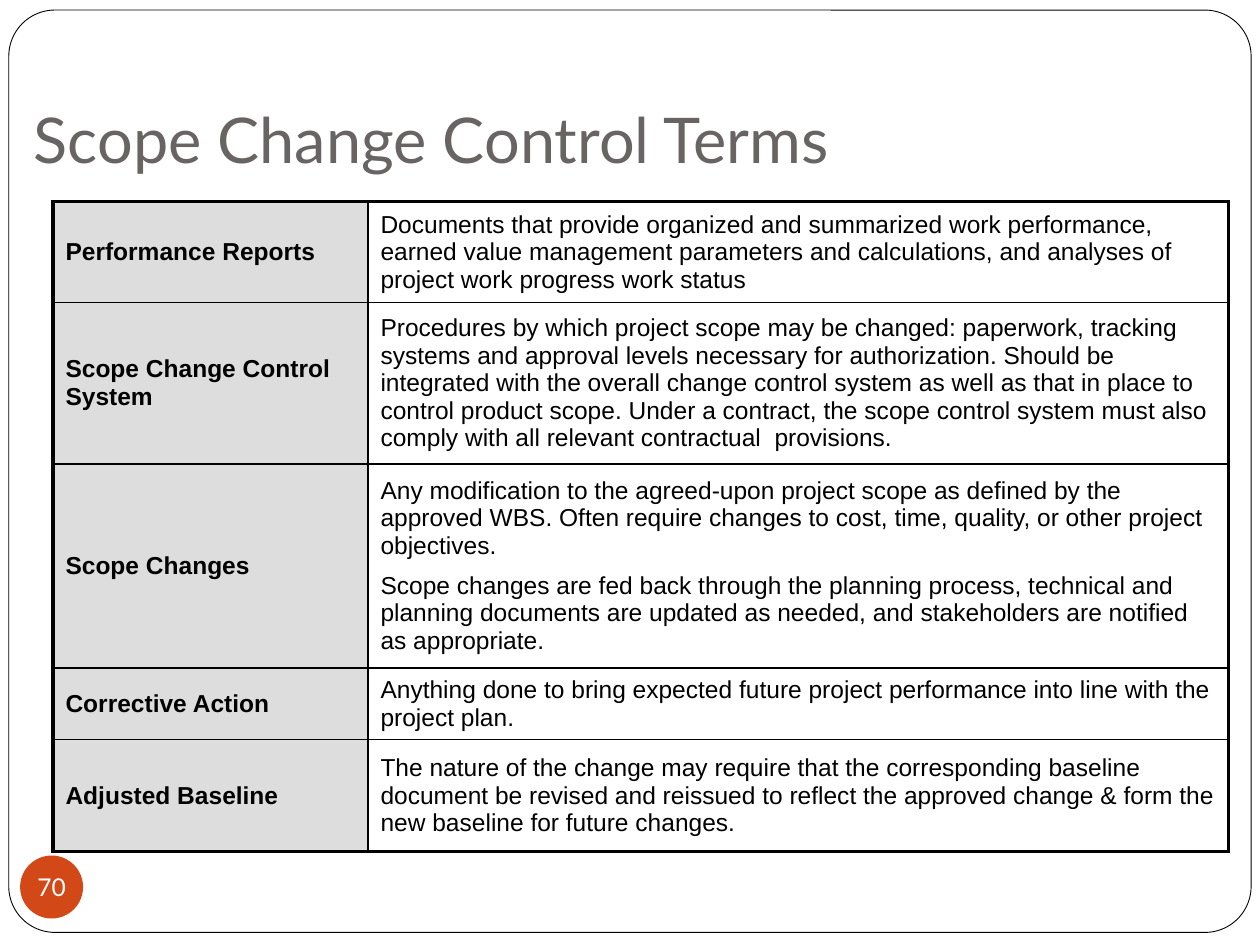
from lxml import etree
from pptx import Presentation
from pptx.dml.color import RGBColor
from pptx.enum.shapes import MSO_SHAPE as Preset
from pptx.enum.text import MSO_ANCHOR as Anchor, PP_ALIGN as Align
from pptx.oxml.ns import qn
from pptx.util import Inches, Pt

BLACK = RGBColor(0x00, 0x00, 0x00)
WHITE = RGBColor(0xFF, 0xFF, 0xFF)
TITLE_GRAY = RGBColor(0x69, 0x64, 0x64)
TERM_GRAY = RGBColor(0xDD, 0xDD, 0xDD)
ORANGE = RGBColor(0xD3, 0x48, 0x17)

THIN, THICK = 1, 2.25

# Each term has a row height and one or more paragraphs of definition
TERMS = [
    ("Performance Reports", 0.8, [
        "Documents that provide organized and summarized work performance, "
        "earned value management parameters and calculations, and analyses of "
        "project work progress work status"]),
    ("Scope Change Control System", 1.28, [
        "Procedures by which project scope may be changed: paperwork, tracking "
        "systems and approval levels necessary for authorization. Should be "
        "integrated with the overall change control system as well as that in "
        "place to control product scope. Under a contract, the scope control "
        "system must also comply with all relevant contractual  provisions."]),
    ("Scope Changes", 1.62, [
        "Any modification to the agreed-upon project scope as defined by the "
        "approved WBS. Often require changes to cost, time, quality, or other "
        "project objectives.",
        "Scope changes are fed back through the planning process, technical "
        "and planning documents are updated as needed, and stakeholders are "
        "notified as appropriate."]),
    ("Corrective Action", 0.57, [
        "Anything done to bring expected future project performance into line "
        "with the project plan."]),
    ("Adjusted Baseline", 0.89, [
        "The nature of the change may require that the corresponding baseline "
        "document be revised and reissued to reflect the approved change & "
        "form the new baseline for future changes."]),
]


class SlideBuilder:
    heading_font = "Lato"
    body_font = "Arial"
    body_size = 14
    paragraph_gap = Pt(7)

    def __init__(self, slide):
        self.slide = slide

    def add_text(self, frame, paragraphs, font, size, color, bold=False, align=Align.LEFT):
        for index, text in enumerate(paragraphs):
            paragraph = frame.add_paragraph() if index else frame.paragraphs[0]
            paragraph.alignment = align
            if index:
                paragraph.space_before = self.paragraph_gap
            run = paragraph.add_run()
            run.text = text
            run.font.name = font
            run.font.size = Pt(size)
            run.font.bold = bold
            run.font.color.rgb = color

    def shape(self, preset, left, top, width, height, fill, line=None):
        shape = self.slide.shapes.add_shape(
            preset, Inches(left), Inches(top), Inches(width), Inches(height))
        shape.shadow.inherit = False
        shape.fill.solid()
        shape.fill.fore_color.rgb = fill
        if line is None:
            shape.line.fill.background()
        else:
            shape.line.color.rgb = line
            shape.line.width = Pt(0.5)
        return shape

    def frame(self):
        frame = self.shape(Preset.ROUNDED_RECTANGLE, 0.07, 0.08, 9.86, 7.32, WHITE, BLACK)
        frame.adjustments[0] = 0.05

    def title(self, text):
        box = self.slide.shapes.add_textbox(
            Inches(0.17), Inches(1.08), Inches(9.67), Inches(0.42))
        text_frame = box.text_frame
        text_frame.word_wrap = True
        text_frame.vertical_anchor = Anchor.BOTTOM
        text_frame.margin_bottom = Inches(0.1)
        self.add_text(text_frame, [text], self.heading_font, 36, TITLE_GRAY)

    def page_number(self, text):
        badge = self.shape(Preset.OVAL, 0.16, 6.79, 0.5, 0.5, ORANGE)
        text_frame = badge.text_frame
        text_frame.word_wrap = False
        text_frame.vertical_anchor = Anchor.MIDDLE
        text_frame.margin_left = text_frame.margin_right = 0
        text_frame.margin_top = text_frame.margin_bottom = 0
        self.add_text(text_frame, [text], self.heading_font, 14, WHITE, align=Align.CENTER)

    def borders(self, cell, left, right, top, bottom):
        properties = cell._tc.get_or_add_tcPr()
        widths = {"a:lnL": left, "a:lnR": right, "a:lnT": top, "a:lnB": bottom}
        # Border lines must come before the fill, in this order
        for position, (tag, width) in enumerate(widths.items()):
            line = etree.Element(qn(tag), w=str(Pt(width)))
            fill = etree.SubElement(line, qn("a:solidFill"))
            etree.SubElement(fill, qn("a:srgbClr"), val=str(BLACK))
            properties.insert(position, line)

    def cell(self, cell, paragraphs, fill=None, bold=False):
        cell.vertical_anchor = Anchor.MIDDLE
        if fill is None:
            cell.fill.background()
        else:
            cell.fill.solid()
            cell.fill.fore_color.rgb = fill
        self.add_text(cell.text_frame, paragraphs, self.body_font, self.body_size, BLACK, bold)

    def terms_table(self, terms):
        widths = [2.5, 6.83]
        table = self.slide.shapes.add_table(
            len(terms), len(widths), Inches(0.42), Inches(1.6), Inches(sum(widths)),
            Inches(sum(height for _, height, _ in terms))).table
        table.first_row = table.horz_banding = False
        for column, width in zip(table.columns, widths):
            column.width = Inches(width)
        last = len(terms) - 1
        for index, (term, height, definition) in enumerate(terms):
            table.rows[index].height = Inches(height)
            term_cell, definition_cell = table.cell(index, 0), table.cell(index, 1)
            self.cell(term_cell, [term], TERM_GRAY, bold=True)
            self.cell(definition_cell, definition)
            top = THICK if index == 0 else THIN
            bottom = THICK if index == last else THIN
            self.borders(term_cell, THICK, THIN, top, bottom)
            self.borders(definition_cell, THIN, THICK, top, bottom)


def main():
    presentation = Presentation()
    presentation.slide_width = Inches(10)
    presentation.slide_height = Inches(7.5)
    builder = SlideBuilder(presentation.slides.add_slide(presentation.slide_layouts[6]))

    # Frame and heading
    builder.frame()
    builder.title("Scope Change Control Terms")

    # Terms and their definitions
    builder.terms_table(TERMS)

    # Page number badge
    builder.page_number("70")

    presentation.save("out.pptx")


if __name__ == "__main__":
    main()
